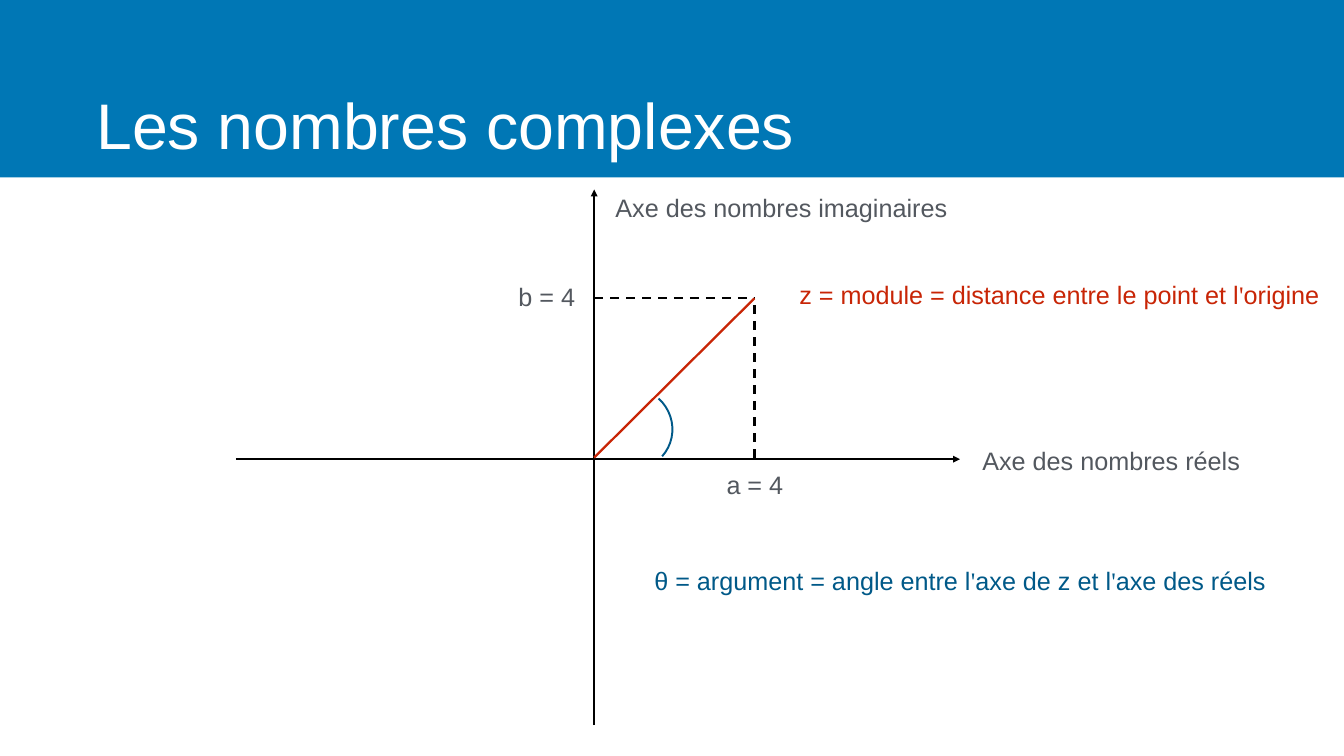
"""Build the slide on complex numbers: axes, modulus and argument."""
from lxml.etree import SubElement
from pptx import Presentation
from pptx.dml.color import RGBColor
from pptx.enum.dml import MSO_LINE
from pptx.enum.shapes import MSO_CONNECTOR, MSO_SHAPE
from pptx.enum.text import MSO_ANCHOR, MSO_AUTO_SIZE, PP_ALIGN
from pptx.oxml.ns import qn
from pptx.util import Emu, Pt

PX = 9144
WIDTH, HEIGHT = 2667, 1500
COLORS = {"banner": "0077B5", "white": "FFFFFF", "axis": "000000",
          "grey": "53585F", "modulus": "C82506", "angle": "005988"}
FONT, QUOTE_FONT = "Arial", "Times New Roman"

TITLE = "Les nombres complexes"
TITLE_BOX = (183, 125, 2285, 211)
BANNER_BOX = (0, 0, WIDTH, 352)
ARC_BOX, ARC_TURN = (1171, 770, 164, 161), 42

ORIGIN_X, AXIS_Y, ORIGIN_Y = 1179, 911, 908
POINT_X, POINT_Y = 1497, 592
LINES = [
    ((468, AXIS_Y), (1905, AXIS_Y), "axis", "arrow"),
    ((ORIGIN_X, 1439), (ORIGIN_X, 376), "axis", "arrow"),
    ((ORIGIN_X, POINT_Y), (POINT_X, POINT_Y), "axis", "dash"),
    ((POINT_X, ORIGIN_Y), (POINT_X, POINT_Y), "axis", "dash"),
    ((ORIGIN_X, ORIGIN_Y), (POINT_X, POINT_Y), "modulus", "solid"),
]
LABEL_HEIGHT = 88
LABELS = [
    ("Axe des nombres réels", 1939, 864, 532, "grey"),
    ("Axe des nombres imaginaires", 1210, 362, 681, "grey"),
    ("a = 4", 1430, 911, 136, "grey"),
    ("b = 4", 1017, 539, 136, "grey"),
    ("z = module = distance entre le point et l'origine", 1573, 535, 1058, "modulus"),
    ("θ = argument = angle entre l'axe de z et l'axe des réels", 1285, 1102, 1240, "angle"),
]


def px(*values):
    return [Emu(v * PX) for v in values]


def rgb(name):
    return RGBColor.from_string(COLORS[name])


def add_run(p, text, size, color, font=FONT):
    r = p.add_run()
    r.text = text
    r.font.name, r.font.size, r.font.color.rgb = font, Pt(size), rgb(color)


def format_frame(tf, wrap):
    tf.margin_left = tf.margin_right = tf.margin_top = tf.margin_bottom = Emu(8 * PX)
    tf.vertical_anchor = MSO_ANCHOR.MIDDLE
    tf.word_wrap = wrap
    tf.auto_size = MSO_AUTO_SIZE.NONE if wrap else MSO_AUTO_SIZE.SHAPE_TO_FIT_TEXT
    p = tf.paragraphs[0]
    p.line_spacing = 1.2
    p.alignment = PP_ALIGN.LEFT if wrap else PP_ALIGN.CENTER
    return p


def add_title(s):
    title = s.shapes.title
    title.left, title.top, title.width, title.height = px(*TITLE_BOX)
    add_run(format_frame(title.text_frame, True), TITLE, 92, "white")
    banner = s.shapes.add_shape(MSO_SHAPE.RECTANGLE, *px(*BANNER_BOX))
    banner.shadow.inherit = False
    banner.fill.solid()
    banner.fill.fore_color.rgb = rgb("banner")
    banner.line.fill.background()
    title._element.addprevious(banner._element)


def add_line(s, start, end, color, style):
    line = s.shapes.add_connector(MSO_CONNECTOR.STRAIGHT, *px(*start, *end))
    line.line.color.rgb, line.line.width = rgb(color), Pt(3.25)
    if style == "dash":
        line.line.dash_style = MSO_LINE.DASH
    if style == "arrow":
        SubElement(line.line._get_or_add_ln(), qn("a:tailEnd"), type="triangle")
    SubElement(line._element.spPr, qn("a:effectLst"))


def add_label(s, text, left, top, width, color):
    box = s.shapes.add_textbox(*px(left, top, width, LABEL_HEIGHT))
    p = format_frame(box.text_frame, False)
    for i, part in enumerate(text.split("'")):
        if i:
            add_run(p, "'", 36, color, QUOTE_FONT)
        add_run(p, part, 36, color)


def add_arc(s):
    arc = s.shapes.add_shape(MSO_SHAPE.ARC, *px(*ARC_BOX))
    arc.shadow.inherit = False
    arc.rotation = ARC_TURN
    arc.fill.background()
    arc.line.color.rgb, arc.line.width = rgb("angle"), Pt(2.75)


def main():
    prs = Presentation()
    prs.slide_width, prs.slide_height = px(WIDTH, HEIGHT)
    s = prs.slides.add_slide(prs.slide_layouts[5])
    add_title(s)
    for line in LINES:
        add_line(s, *line)
    add_arc(s)
    for label in LABELS:
        add_label(s, *label)
    prs.save("out.pptx")


if __name__ == "__main__":
    main()
